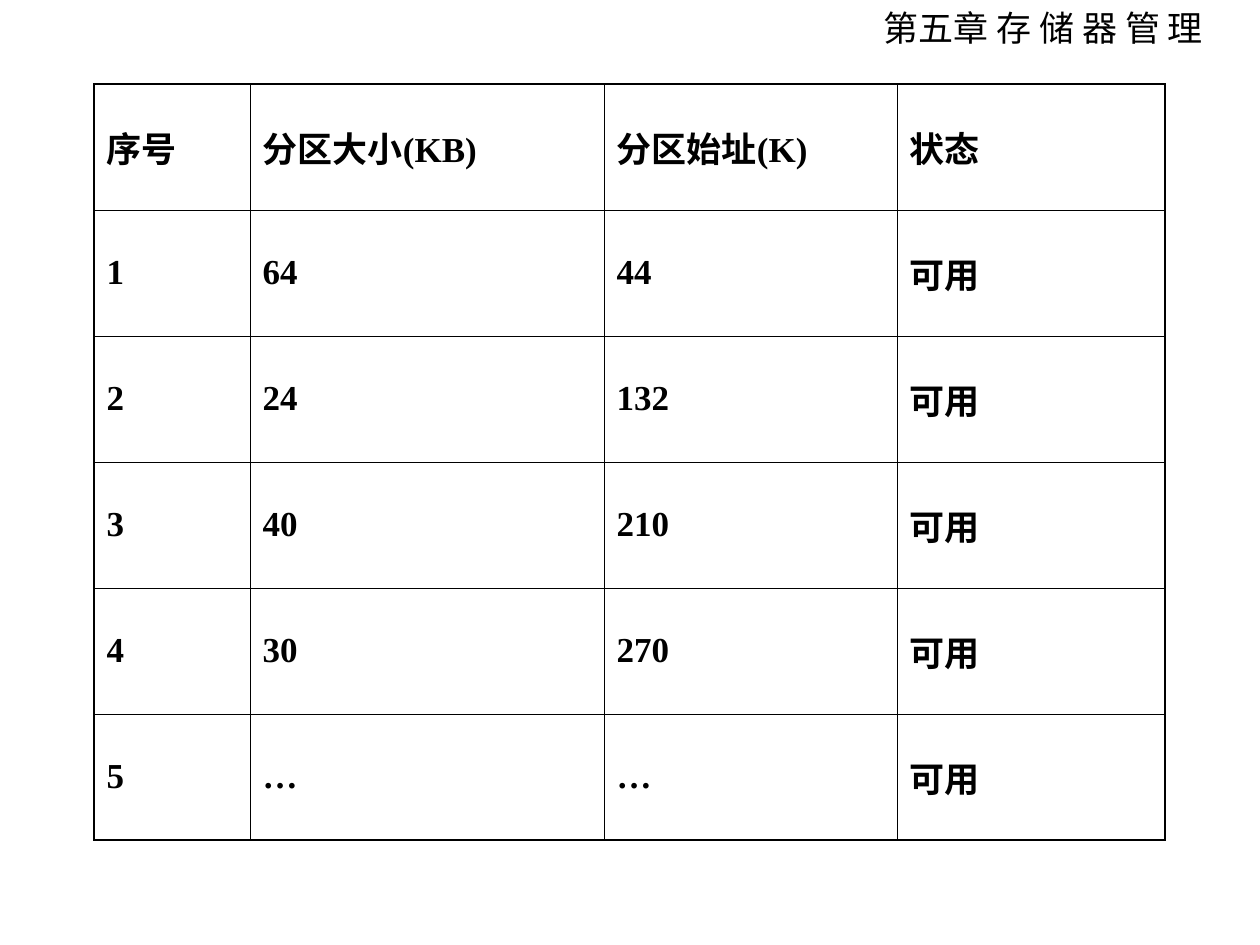
import dataclasses

import lxml.etree
import pptx
import pptx.dml.color
import pptx.enum.text
import pptx.oxml.ns
import pptx.util


@dataclasses.dataclass(frozen=True)
class Theme:
    ink: str = "000000"
    paper: str = "FFFFFF"
    latin: str = "Times New Roman"
    chinese: str = "Noto Sans CJK SC"
    text_size: int = 20
    outer_rule: float = 1.08
    inner_rule: float = 0.45


THEME = Theme()
PX_PER_INCH = 126

PARTITIONS = [
    ("序号", "分区大小(KB)", "分区始址(K)", "状态"),
    ("1", "64", "44", "可用"),
    ("2", "24", "132", "可用"),
    ("3", "40", "210", "可用"),
    ("4", "30", "270", "可用"),
    ("5", "…", "…", "可用"),
]
COLUMN_WIDTHS = (156, 354, 293, 268)


def px(length):
    return pptx.util.Emu(length * 914400 // PX_PER_INCH)


def add_run(paragraph, words, latin, bold=False):
    run = paragraph.add_run()
    run.text = words
    run.font.size = pptx.util.Pt(THEME.text_size)
    run.font.bold = bold
    run.font.color.rgb = pptx.dml.color.RGBColor.from_string(THEME.ink)
    run.font.name = latin
    east_asian = lxml.etree.SubElement(run.font._element, pptx.oxml.ns.qn("a:ea"))
    east_asian.set("typeface", THEME.chinese)


def rule_cell(cell, outer_sides):
    properties = cell._tc.get_or_add_tcPr()
    for position, side in enumerate("LRTB"):
        weight = THEME.outer_rule if side in outer_sides else THEME.inner_rule
        rule = lxml.etree.Element(pptx.oxml.ns.qn(f"a:ln{side}"))
        rule.set("w", str(pptx.util.Pt(weight)))
        fill = lxml.etree.SubElement(rule, pptx.oxml.ns.qn("a:solidFill"))
        color = lxml.etree.SubElement(fill, pptx.oxml.ns.qn("a:srgbClr"))
        color.set("val", THEME.ink)
        properties.insert(position, rule)


def add_chapter_heading(slide, left, top, width, height):
    heading = slide.shapes.add_textbox(px(left), px(top), px(width), px(height))
    frame = heading.text_frame
    frame.word_wrap = False
    frame.auto_size = pptx.enum.text.MSO_AUTO_SIZE.SHAPE_TO_FIT_TEXT
    add_run(frame.paragraphs[0], "第五章 存 储 器 管 理", THEME.chinese)


def add_partition_table(slide, left, top, width, height):
    row_count, column_count = len(PARTITIONS), len(COLUMN_WIDTHS)
    table = slide.shapes.add_table(
        row_count, column_count, px(left), px(top), px(width), px(height)
    ).table
    table.first_row = False
    table.horz_banding = False
    for column, share in zip(table.columns, COLUMN_WIDTHS):
        column.width = px(width * share // sum(COLUMN_WIDTHS))
    for row, partition in enumerate(PARTITIONS):
        table.rows[row].height = px(height // row_count)
        for column, entry in enumerate(partition):
            cell = table.cell(row, column)
            cell.fill.background()
            cell.vertical_anchor = pptx.enum.text.MSO_ANCHOR.MIDDLE
            edges = {
                "L": column == 0,
                "R": column == column_count - 1,
                "T": row == 0,
                "B": row == row_count - 1,
            }
            rule_cell(cell, [side for side, outer in edges.items() if outer])
            add_run(cell.text_frame.paragraphs[0], entry, THEME.latin, bold=True)


def main():
    presentation = pptx.Presentation()
    presentation.slide_width = px(1260)
    presentation.slide_height = px(945)
    slide = presentation.slides.add_slide(presentation.slide_layouts[6])
    slide.background.fill.solid()
    slide.background.fill.fore_color.rgb = pptx.dml.color.RGBColor.from_string(THEME.paper)
    add_chapter_heading(slide, 871, 0, 353, 55)
    add_partition_table(slide, 94, 84, 1071, 756)
    presentation.save("out.pptx")


if __name__ == "__main__":
    main()
